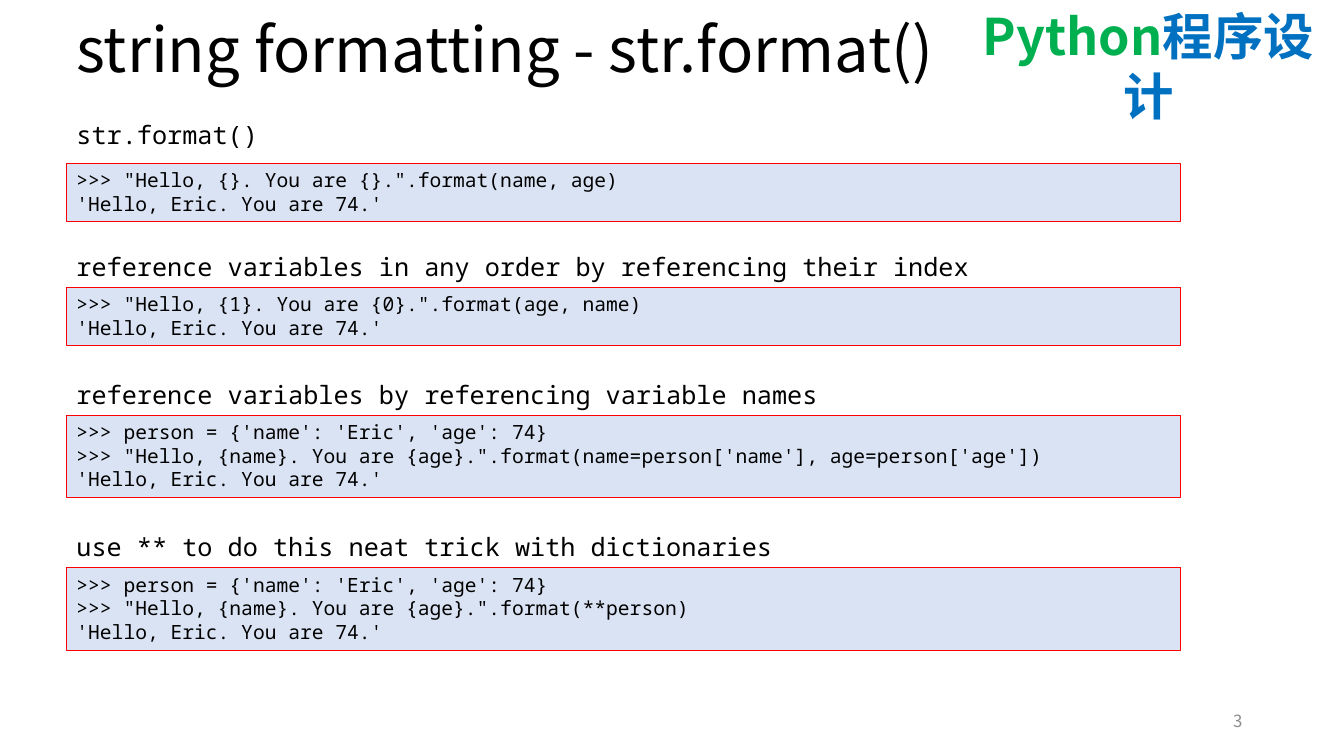
from dataclasses import dataclass

from pptx import Presentation
from pptx.dml.color import RGBColor
from pptx.enum.shapes import MSO_SHAPE
from pptx.enum.text import MSO_ANCHOR, PP_ALIGN
from pptx.shapes.autoshape import Shape
from pptx.slide import Slide
from pptx.util import Inches, Pt

SANS = "Noto Sans CJK SC"
MONO = "Noto Sans Mono"
BLACK = RGBColor(0x00, 0x00, 0x00)
GRAY = RGBColor(0x8C, 0x8C, 0x8C)
GREEN = RGBColor(0x00, 0xB0, 0x50)
BLUE = RGBColor(0x00, 0x70, 0xC0)
PALE = RGBColor(0xDA, 0xE3, 0xF3)
RED = RGBColor(0xFF, 0x00, 0x00)

LEFT = 0.66
PAD = 0.1
PITCH = 0.24
REPLY = "'Hello, Eric. You are 74.'"
PERSON = ">>> person = {'name': 'Eric', 'age': 74}"


@dataclass
class Sample:
    head: str
    head_top: float
    code_top: float
    lines: list[str]


SAMPLES = [
    Sample("str.format()", 1.13, 1.62,
           ['>>> "Hello, {}. You are {}.".format(name, age)', REPLY]),
    Sample("reference variables in any order by referencing their index", 2.44, 2.85,
           ['>>> "Hello, {1}. You are {0}.".format(age, name)', REPLY]),
    Sample("reference variables by referencing variable names", 3.71, 4.12,
           [PERSON,
            ">>> \"Hello, {name}. You are {age}.\".format(name=person['name'], age=person['age'])",
            REPLY]),
    Sample("use ** to do this neat trick with dictionaries", 5.22, 5.63,
           [PERSON, '>>> "Hello, {name}. You are {age}.".format(**person)', REPLY]),
]


def write(shape: Shape, lines: list[list[tuple[str, RGBColor]]], *, size: float,
          font: str = MONO, bold: bool = False, align: PP_ALIGN = PP_ALIGN.LEFT,
          anchor: MSO_ANCHOR = MSO_ANCHOR.TOP, space: float | None = None) -> None:
    """Fill a shape with one paragraph per line of coloured runs."""
    frame = shape.text_frame
    frame.word_wrap = True
    frame.vertical_anchor = anchor
    for i, line in enumerate(lines):
        para = frame.paragraphs[0] if i == 0 else frame.add_paragraph()
        para.alignment = align
        para.line_spacing = space
        for text, color in line:
            run = para.add_run()
            run.text = text
            run.font.name = font
            run.font.size = Pt(size)
            run.font.bold = bold
            run.font.color.rgb = color


def add_box(slide: Slide, left: float, top: float, width: float, height: float) -> Shape:
    return slide.shapes.add_textbox(Inches(left), Inches(top), Inches(width), Inches(height))


def add_code(slide: Slide, top: float, lines: list[str]) -> None:
    height = PAD + PITCH * len(lines)
    panel = slide.shapes.add_shape(MSO_SHAPE.RECTANGLE, Inches(LEFT), Inches(top),
                                   Inches(11.05), Inches(height))
    panel.shadow.inherit = False
    panel.fill.solid()
    panel.fill.fore_color.rgb = PALE
    panel.line.color.rgb = RED
    panel.line.width = Pt(0.75)
    write(panel, [[(line, BLACK)] for line in lines], size=14)


def main() -> None:
    deck = Presentation()
    deck.slide_width, deck.slide_height = Inches(13.33), Inches(7.5)
    slide = deck.slides.add_slide(deck.slide_layouts[6])

    write(add_box(slide, 9.47, 0, 3.84, 0.71),
          [[("Python", GREEN), ("程序设计", BLUE)]],
          size=36, font=SANS, bold=True, align=PP_ALIGN.CENTER)
    write(add_box(slide, LEFT, 0, 11.5, 1.05),
          [[("string formatting - str.format()", BLACK)]],
          size=44, font=SANS, anchor=MSO_ANCHOR.MIDDLE, space=0.9)
    write(add_box(slide, 9.42, 6.95, 3, 0.4), [[("3", GRAY)]],
          size=12, font=SANS, align=PP_ALIGN.RIGHT, anchor=MSO_ANCHOR.MIDDLE)

    for item in SAMPLES:
        write(add_box(slide, LEFT, item.head_top, 12.1, 0.4),
              [[(item.head, BLACK)]], size=18)
        add_code(slide, item.code_top, item.lines)

    deck.save("out.pptx")


if __name__ == "__main__":
    main()
